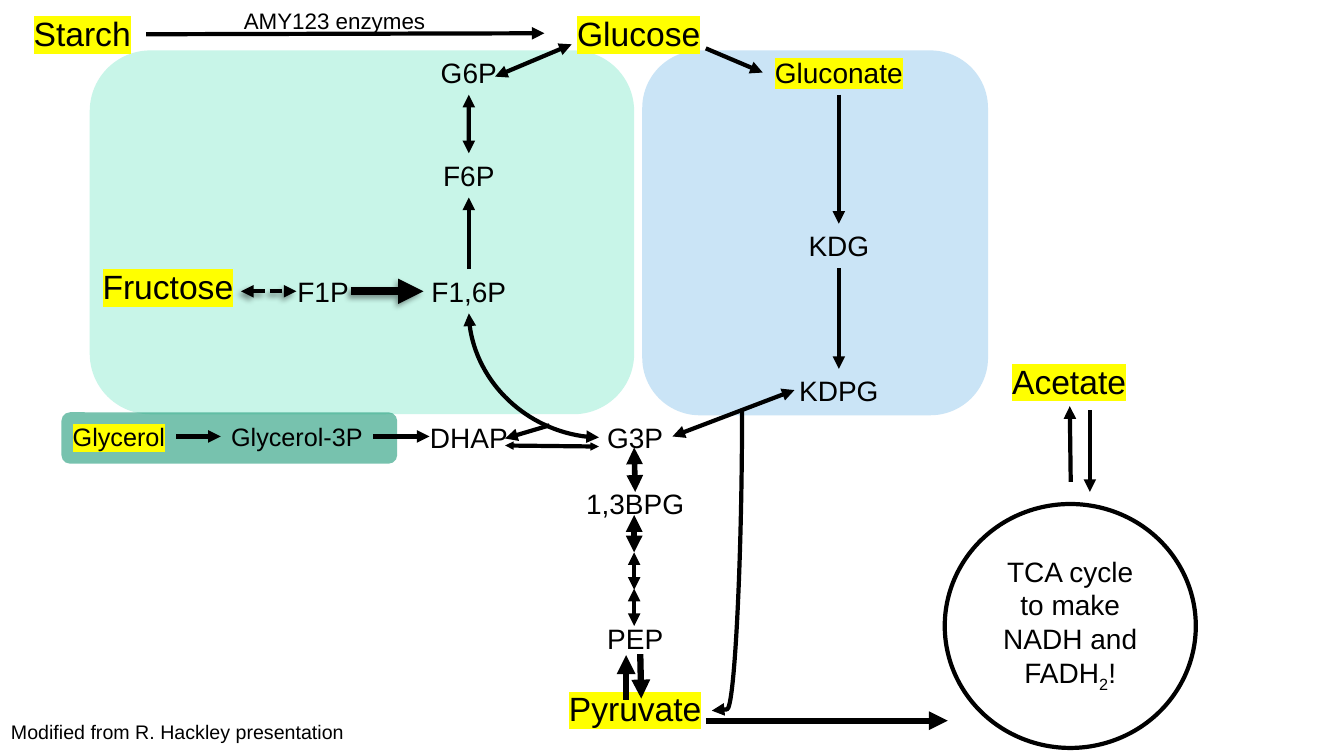
import pptx
import pptx.dml.color
import pptx.enum.dml
import pptx.enum.shapes
import pptx.enum.text
import pptx.oxml.ns
import pptx.util
from lxml import etree

COLUMN = ROW = pptx.util.Inches(0.1)  # the grid has square cells
TOP, LEFT, BOTTOM, RIGHT = range(4)   # connection sites of a rectangle
LABEL_ROWS = {24: 5, 20: 4.4, 18: 4, 16: 3.7, 14: 3.4}
BLACK, YELLOW = "000000", "FFFF00"


def colour(value):
    return pptx.dml.color.RGBColor.from_string(value)


def add_node(parent, tag, **attributes):
    values = {key: str(value) for key, value in attributes.items()}
    return etree.SubElement(parent, pptx.oxml.ns.qn(tag), values)


def set_format(target, values):
    for key, value in values.items():
        setattr(target, key, value)


class PathwaySlide:
    def __init__(self, presentation):
        self.slide = presentation.slides.add_slide(presentation.slide_layouts[6])
        self.shapes = self.slide.shapes
        self.labels = {}

    def panel(self, kind, left, top, width, height, fill=None, alpha=None, line=None):
        shape = self.shapes.add_shape(kind, int(left * COLUMN), int(top * ROW),
                                      int(width * COLUMN), int(height * ROW))
        shape.shadow.inherit = False
        if fill:
            shape.fill.solid()
            shape.fill.fore_color.rgb = colour(fill)
        else:
            shape.fill.background()
        if alpha:
            solid = shape._element.spPr.find(pptx.oxml.ns.qn("a:solidFill"))
            add_node(solid[0], "a:alpha", val=alpha * 1000)
        if line:
            shape.line.color.rgb = colour(BLACK)
            shape.line.width = pptx.util.Pt(line)
        else:
            shape.line.fill.background()

    def label(self, text, centre, top, width, size=20, marked=False, wrap=True,
              rows=None, subscript="", ending=""):
        box = self.shapes.add_textbox(int((centre - width / 2) * COLUMN), int(top * ROW),
                                      int(width * COLUMN), int((rows or LABEL_ROWS[size]) * ROW))
        set_format(box.text_frame, {
            "word_wrap": wrap,
            "auto_size": pptx.enum.text.MSO_AUTO_SIZE.SHAPE_TO_FIT_TEXT})
        paragraph = box.text_frame.paragraphs[0]
        align = pptx.enum.text.PP_ALIGN
        paragraph.alignment = align.CENTER if wrap else align.LEFT
        for part, baseline in ((text, 0), (subscript, -25000), (ending, 0)):
            if not part:
                continue
            run = paragraph.add_run()
            run.text = part
            set_format(run.font, {"name": "Arial", "size": pptx.util.Pt(size)})
            run.font.color.rgb = colour(BLACK)
            properties = run.font._element
            if baseline:
                properties.set("baseline", str(baseline))
            if marked:
                highlight = add_node(properties, "a:highlight")
                add_node(highlight, "a:srgbClr", val=YELLOW)
                properties.find(pptx.oxml.ns.qn("a:solidFill")).addnext(highlight)
        self.labels[text] = box

    def arrow(self, start, end, ends="tail", weight=3, head="med", dashed=False,
              shadow=False, kind=pptx.enum.shapes.MSO_CONNECTOR.STRAIGHT):
        """Each end is a (column, row) point or a (label, side) joint."""
        joints = [isinstance(end_point[0], str) for end_point in (start, end)]
        points = [(0, 0) if joint else (int(place[0] * COLUMN), int(place[1] * ROW))
                  for joint, place in zip(joints, (start, end))]
        connector = self.shapes.add_connector(kind, *points[0], *points[1])
        if joints[0]:
            connector.begin_connect(self.labels[start[0]], start[1])
        if joints[1]:
            connector.end_connect(self.labels[end[0]], end[1])
        connector.line.color.rgb = colour(BLACK)
        connector.line.width = pptx.util.Pt(weight)
        if dashed:
            connector.line.dash_style = pptx.enum.dml.MSO_LINE.SQUARE_DOT
        properties = connector._element.spPr
        outline = properties.find(pptx.oxml.ns.qn("a:ln"))
        for side in ("head", "tail"):
            if ends in (side, "both"):
                add_node(outline, f"a:{side}End", type="triangle", w=head, len=head)
        effects = add_node(properties, "a:effectLst")
        if shadow:
            outer = add_node(effects, "a:outerShdw", blurRad=pptx.util.Pt(4),
                             dist=pptx.util.Pt(3), dir=135 * 60000)
            add_node(add_node(outer, "a:srgbClr", val=BLACK), "a:alpha", val=40000)
        return connector

    def curve(self, start, end, preset, turn, ends, bend=None):
        """The two corners are those of the frame before it is turned."""
        connector = self.arrow(start, end, ends, kind=pptx.enum.shapes.MSO_CONNECTOR.CURVE)
        connector.rotation = turn
        geometry = connector._element.spPr.find(pptx.oxml.ns.qn("a:prstGeom"))
        geometry.set("prst", preset)
        if bend:
            add_node(geometry[0], "a:gd", name="adj1", fmla=f"val {int(bend * 1000)}")


def main():
    presentation = pptx.Presentation()
    set_format(presentation, {"slide_width": pptx.util.Inches(13.33),
                              "slide_height": pptx.util.Inches(7.5)})
    pathway = PathwaySlide(presentation)
    preset = pptx.enum.shapes.MSO_SHAPE

    # Backgrounds of the pathways and the cycle
    pathway.panel(preset.ROUNDED_RECTANGLE, 8.9, 5, 54, 36.1, "C8F5E8")
    pathway.panel(preset.ROUNDED_RECTANGLE, 63.7, 5, 34.3, 36.2, "CAE4F6")
    pathway.panel(preset.ROUNDED_RECTANGLE, 6.1, 40.9, 33.3, 5.1, "1D9A78", alpha=60)
    pathway.panel(preset.OVAL, 93.7, 50, 24.9, 24.2, line=3)

    # Intermediates: name, centre column, top row, width
    for name, centre, top, width in (
            ("G6P", 46.5, 5, 9), ("F6P", 46.5, 15.2, 19.9), ("F1,6P", 46.5, 26.7, 19.9),
            ("F1P", 32.05, 26.7, 19.9), ("DHAP", 46.5, 41.2, 18.6), ("G3P", 63, 41.2, 18.6),
            ("1,3BPG", 63, 47.8, 18.6), ("PEP", 63, 61.2, 18.6),
            ("KDG", 83.2, 22.2, 19.9), ("KDPG", 83.2, 36.6, 18.6)):
        pathway.label(name, centre, top, width)

    # Highlighted substrates and products
    for name, centre, top, width, size in (
            ("Starch", 8.15, 0.8, 16.5, 24), ("Glucose", 63.35, 0.8, 16.5, 24),
            ("Fructose", 16.65, 25.9, 19.9, 24), ("Pyruvate", 63, 67.8, 18.6, 24),
            ("Gluconate", 83.2, 5, 15.1, 20), ("Glycerol", 11.8, 41.3, 11.4, 18)):
        pathway.label(name, centre, top, width, size, marked=True)
    pathway.label("Acetate", 106.1, 35.3, 13.4, 24, marked=True, wrap=False)

    # Other text
    pathway.label("Glycerol-3P", 29.45, 41.3, 15.1, 18)
    pathway.label("TCA cycle to make NADH and FADH", 106.15, 54.5, 17.1, rows=14.5,
                  subscript="2", ending="!")
    pathway.label("AMY123 enzymes", 33.3, 0.2, 20.2, 16, wrap=False)
    pathway.label("Modified from R. Hackley presentation", 17.7, 70.9, 35.2, 14, wrap=False)

    # One-way steps
    for start, end in (
            ((14.5, 3.4), (54, 3.3)), ((70, 4.8), ("Gluconate", LEFT)),
            (("Gluconate", BOTTOM), ("KDG", TOP)), (("KDG", BOTTOM), ("KDPG", TOP)),
            (("F1,6P", TOP), ("F6P", BOTTOM)), (("Glycerol", RIGHT), ("Glycerol-3P", LEFT)),
            (("Glycerol-3P", RIGHT), (42.6, 43.3)), ((54.5, 42.2), (50.1, 43.5)),
            ((106.2, 47.8), ("Acetate", BOTTOM)), ((108.1, 40.7), (108.1, 48.8))):
        pathway.arrow(start, end)
    for start, end in (((62.1, 69.4), (62.1, 65)), ((63.5, 64.9), (63.6, 69.3)),
                       ((70, 71.5), (94, 71.5))):
        pathway.arrow(start, end, weight=4.5)
    pathway.arrow((34.8, 28.9), (42, 28.9), weight=6, shadow=True)

    # Reversible steps
    for start, end, weight in (
            ((56.7, 4.4), (49.1, 7.6), 3), (("G6P", BOTTOM), ("F6P", TOP), 3),
            ((66.7, 43.3), (78.8, 38.7), 3), ((62.9, 44.4), (63, 48.8), 4),
            ((62.9, 51.1), (62.9, 54.8), 4), ((62.9, 54.8), (62.9, 58.5), 3),
            ((62.9, 58.4), (62.9, 62.1), 3)):
        pathway.arrow(start, end, "both", weight)
    pathway.arrow((50.1, 44.2), (59.4, 44.3), "both", head="sm")
    pathway.arrow((23.9, 28.9), (29.4, 28.9), "both", dashed=True, shadow=True)

    # Curved branches from F1,6P to G3P and from KDPG to pyruvate
    pathway.curve((59.1, 30.8), (46.8, 43.7), "curvedConnector2", 270, "both")
    pathway.curve((57.2, 54.1), (87, 57.1), "curvedConnector3", 90, "tail", bend=99.6)

    presentation.save("out.pptx")


if __name__ == "__main__":
    main()
